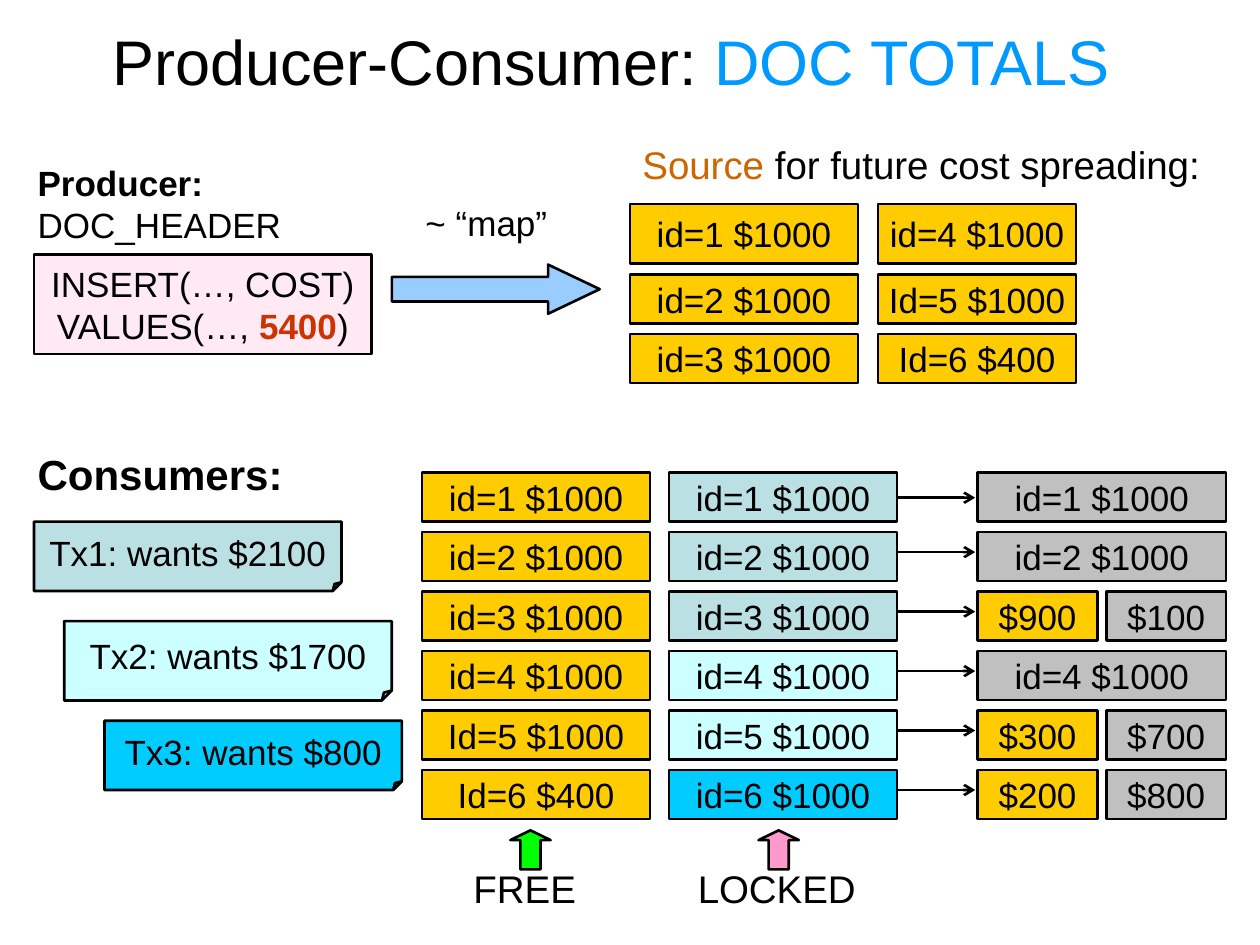
import pptx
import pptx.dml.color
import pptx.enum.shapes
import pptx.enum.text
import pptx.oxml
import pptx.oxml.ns
import pptx.util

Inches = pptx.util.Inches
Pt = pptx.util.Pt
SHAPE = pptx.enum.shapes.MSO_SHAPE
ALIGN = pptx.enum.text.PP_ALIGN
ANCHOR = pptx.enum.text.MSO_ANCHOR
NAMESPACE = pptx.oxml.ns.nsdecls("a")

COLORS = {
    "black": "000000", "title": "0099FF", "source": "CC6600", "cost": "CC3300",
    "free": "FFCC00", "done": "C0C0C0", "pink": "FF99CC", "green": "00FF00",
    "map": "99CCFF", "tx1": "BBE0E3", "tx2": "CCFFFF", "tx3": "00CCFF",
}
FREE_LOTS = ["id=1 $1000", "id=2 $1000", "id=3 $1000",
             "id=4 $1000", "Id=5 $1000", "Id=6 $400"]
OWNERS = ["tx1", "tx1", "tx1", "tx2", "tx2", "tx3"]
SPLITS = {3: ("$900", "$100"), 5: ("$300", "$700"), 6: ("$200", "$800")}


def rgb(name):
    return pptx.dml.color.RGBColor.from_string(COLORS[name])


def lengths(box):
    return [Inches(value) for value in box]


def write(shape, spans, size, align, anchor, wrap=True):
    """Fill a shape with one paragraph of (text, color, bold) spans."""
    frame = shape.text_frame
    frame.word_wrap = wrap
    frame.vertical_anchor = anchor
    para = frame.paragraphs[0]
    para.alignment = align
    for text, color, bold in spans:
        span = para.add_run()
        span.text = text
        span.font.name = "Arial"
        span.font.size = Pt(size)
        span.font.bold = bold
        span.font.color.rgb = rgb(color)


def add_label(page, box, spans, size=20, align=ALIGN.LEFT, anchor=ANCHOR.TOP):
    label = page.shapes.add_textbox(*lengths(box))
    write(label, spans, size, align, anchor)


def add_outlined(page, kind, box, color):
    shape = page.shapes.add_shape(kind, *lengths(box))
    shape.shadow.inherit = False
    shape.fill.solid()
    shape.fill.fore_color.rgb = rgb(color)
    shape.line.color.rgb = rgb("black")
    shape.line.width = Pt(1.5)
    return shape


def add_cell(page, box, text, color, kind=SHAPE.RECTANGLE):
    cell = add_outlined(page, kind, box, color)
    write(cell, [(text, "black", False)], 20, ALIGN.CENTER, ANCHOR.MIDDLE, wrap=False)
    return cell


def add_arrow(page, left, right, y):
    arrow = page.shapes.add_connector(
        pptx.enum.shapes.MSO_CONNECTOR.STRAIGHT, *lengths((left, y, right, y)))
    arrow.line.color.rgb = rgb("black")
    arrow.line.width = Pt(1.5)
    outline = arrow._element.spPr.find(pptx.oxml.ns.qn("a:ln"))
    outline.append(pptx.oxml.parse_xml(f'<a:tailEnd {NAMESPACE} type="arrow"/>'))
    arrow._element.spPr.append(pptx.oxml.parse_xml(f"<a:effectLst {NAMESPACE}/>"))


def add_title(page, box):
    spans = [("Producer-Consumer: ", "black", False), ("DOC TOTALS", "title", False)]
    add_label(page, box, spans, 36, ALIGN.CENTER, ANCHOR.MIDDLE)


def add_producer(page, box):
    left, top, width, height = box
    add_label(page, (left, top, width, 0.77),
              [("Producer:", "black", True), (" DOC_HEADER", "black", False)])
    insert = add_outlined(page, SHAPE.RECTANGLE,
                          (left + 0.07, top + 0.79, width, height - 0.79), "pink")
    fill = insert._element.spPr.find(pptx.oxml.ns.qn("a:solidFill"))
    fill[0].append(pptx.oxml.parse_xml(f'<a:alpha {NAMESPACE} val="20000"/>'))
    spans = [("INSERT(…, COST) VALUES(…, ", "black", False),
             ("5400", "cost", True), (")", "black", False)]
    write(insert, spans, 20, ALIGN.CENTER, ANCHOR.MIDDLE)


def add_map_step(page, box):
    left, top, width, height = box
    add_label(page, (left + 0.16, top, 1.18, 0.44),
              [("~ “map”", "black", False)], align=ALIGN.CENTER)
    arrow = add_outlined(page, SHAPE.RIGHT_ARROW,
                         (left, top + height - 0.39, width, 0.39), "map")
    arrow.adjustments[1] = 1.05


def add_source(page, box):
    """Heading and two columns of three lots, the first row taller."""
    left, top, width, height = box
    spans = [("Source", "source", False), (" for future cost spreading:", "black", False)]
    add_label(page, (left, top, width, 0.47), spans, 22)
    rows = [(top + 0.55, 0.47), (top + height - 0.87, 0.39), (top + height - 0.4, 0.39)]
    columns = [(left, 1.81), (left + 1.97, 1.57)]
    for index, text in enumerate(FREE_LOTS):
        x, cell_width = columns[index // 3]
        y, cell_height = rows[index % 3]
        add_cell(page, (x, y, cell_width, cell_height), text, "free")


def add_consumers(page, box):
    left, top, width, height = box
    add_label(page, (left, top, width, 0.5), [("Consumers:", "black", True)], 24)
    requests = [
        ("Tx1: wants $2100", "tx1", (0.07, 0.63, 2.44, 0.55)),
        ("Tx2: wants $1700", "tx2", (0.31, 1.42, 2.6, 0.63)),
        ("Tx3: wants $800", "tx3", (0.63, 2.21, 2.36, 0.55)),
    ]
    for text, color, (x, y, note_width, note_height) in requests:
        note = add_cell(page, (left + x, top + y, note_width, note_height),
                        text, color, SHAPE.FOLDED_CORNER)
        guides = note._element.spPr.find(".//" + pptx.oxml.ns.qn("a:avLst"))
        guides.append(pptx.oxml.parse_xml(
            f'<a:gd {NAMESPACE} name="adj" fmla="val 12500"/>'))


def add_lots(page, box):
    """Rows of free lot, locked lot and what is left and spent of it."""
    left, top, width, height = box
    row_height, lot_width, result_width, half_width = 0.39, 1.81, 1.97, 0.95
    pitch = (height - row_height) / (len(FREE_LOTS) - 1)
    locked, result = left + 1.96, left + width - result_width
    for index, (free_text, owner) in enumerate(zip(FREE_LOTS, OWNERS)):
        number = index + 1
        y = top + index * pitch
        text = f"id={number} $1000"
        add_cell(page, (left, y, lot_width, row_height), free_text, "free")
        add_cell(page, (locked, y, lot_width, row_height), text, owner)
        if number in SPLITS:
            rest, spent = SPLITS[number]
            add_cell(page, (result, y, half_width, row_height), rest, "free")
            add_cell(page, (left + width - half_width, y, half_width, row_height),
                     spent, "done")
        else:
            add_cell(page, (result, y, result_width, row_height), text, "done")
        add_arrow(page, locked + lot_width + 0.01, result - 0.02,
                  y + (0.16 if index else 0.2))


def add_state(page, box, text, color, align):
    """An up arrow with the name of the column's state below it."""
    left, top, width, height = box
    center = left + width / 2
    arrow = add_outlined(page, SHAPE.UP_ARROW, (center - 0.16, top, 0.32, 0.31), color)
    arrow.adjustments[1] = 0.25
    label_left, label_width = (0.31, 1.26) if align == ALIGN.LEFT else (-0.07, 1.65)
    add_label(page, (left + label_left, top + height - 0.47, label_width, 0.47),
              [(text, "black", False)], 22, align)


def main():
    deck = pptx.Presentation()
    deck.slide_width, deck.slide_height = Inches(10), Inches(7.5)
    page = deck.slides.add_slide(deck.slide_layouts[6])
    add_title(page, (0.35, 0.21, 9, 0.54))
    add_producer(page, (0.2, 1.23, 2.68, 1.58))
    add_map_step(page, (3.11, 1.55, 1.65, 0.94))
    add_source(page, (5, 1.07, 4.65, 1.98))
    add_consumers(page, (0.2, 3.51, 2.4, 2.76))
    add_lots(page, (3.35, 3.75, 6.38, 2.75))
    add_state(page, (3.35, 6.59, 1.72, 0.7), "FREE", "green", ALIGN.LEFT)
    add_state(page, (5.31, 6.59, 1.74, 0.7), "LOCKED", "pink", ALIGN.RIGHT)
    deck.save("out.pptx")


if __name__ == "__main__":
    main()
